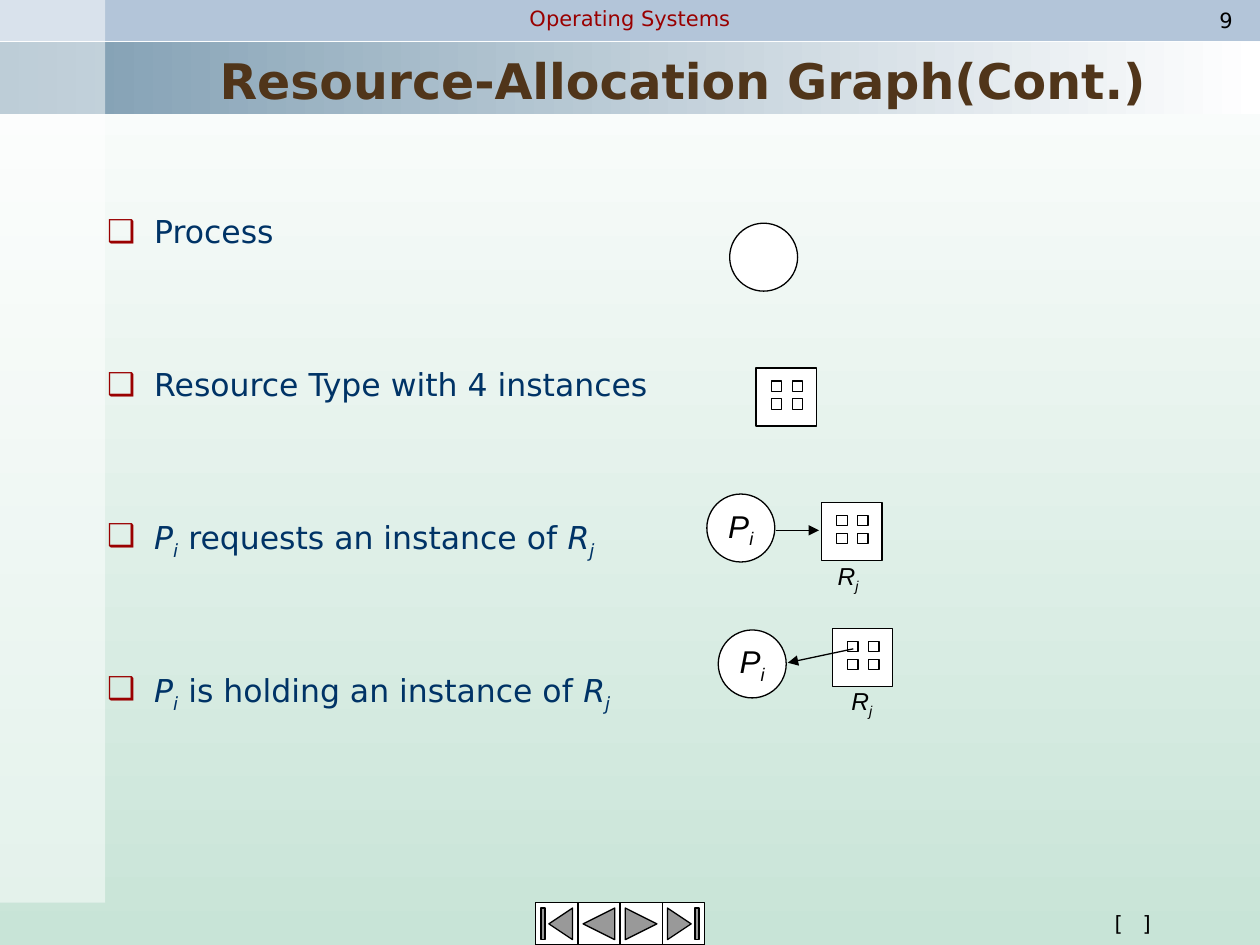
"""Build the resource-allocation graph slide with its process and resource symbols."""
from lxml.etree import SubElement
from pptx import Presentation
from pptx.dml.color import RGBColor
from pptx.enum.shapes import MSO_CONNECTOR, MSO_SHAPE
from pptx.enum.text import MSO_ANCHOR, PP_ALIGN
from pptx.oxml.ns import qn
from pptx.util import Cm, Pt

ink = RGBColor.from_string
SANS = "DejaVu Sans"


def draw(kind, left, top, width, height, fill="FFFFFF", line="000000"):
    shape = shapes.add_shape(kind, Cm(left), Cm(top), Cm(width), Cm(height))
    shape.shadow.inherit = False
    shape.fill.solid()
    shape.fill.fore_color.rgb = ink(fill)
    if line:
        shape.line.color.rgb = ink(line)
        shape.line.width = Pt(0.75)
    else:
        shape.line.fill.background()
    return shape


def write(frame, parts, size, color, face=SANS, para=None):
    if para is None:
        para = frame.paragraphs[0]
        para.alignment = PP_ALIGN.CENTER
        frame.vertical_anchor = MSO_ANCHOR.MIDDLE
        frame.word_wrap = False
    for part in parts:
        run = para.add_run()
        run.text = part.lstrip("/_")
        if part[0] in "/_":
            run.font.italic = True
        if part[0] == "_":
            run._r.get_or_add_rPr().set("baseline", "-25000")
    para.font.size = Pt(size)
    para.font.name = face
    para.font.color.rgb = ink(color)
    return para


deck = Presentation()
deck.slide_width, deck.slide_height = Cm(25.4), Cm(19.05)
slide = deck.slides.add_slide(deck.slide_layouts[5])
shapes = slide.shapes

draw(MSO_SHAPE.RECTANGLE, 0, 0, 25.4, 0.81, "B3C5D9", "B3C5D9")
band = draw(MSO_SHAPE.RECTANGLE, 0, 0.84, 25.4, 1.47, line=None)
for fill, start, end, angle in [
    (slide.background.fill, "FFFFFF", "C8E4D7", 270),
    (band.fill, "7C9BB0", "FFFFFF", 0),
]:
    fill.gradient()
    fill.gradient_angle = angle
    for stop, color, place in zip(fill.gradient_stops, (start, end), (0, 1)):
        stop.color.rgb = ink(color)
        stop.position = place

panel = draw(MSO_SHAPE.RECTANGLE, 0, 0, 2.12, 18.2, line=None)
tint = panel._element.spPr.find(qn("a:solidFill"))[0]
SubElement(tint, qn("a:alpha"), val="50000")

buttons = [
    MSO_SHAPE.ACTION_BUTTON_BEGINNING,
    MSO_SHAPE.ACTION_BUTTON_BACK_OR_PREVIOUS,
    MSO_SHAPE.ACTION_BUTTON_FORWARD_OR_NEXT,
    MSO_SHAPE.ACTION_BUTTON_END,
]
for n, kind in enumerate(buttons):
    draw(kind, 10.8 + 0.85 * n, 18.2, 0.85, 0.85)

title = shapes.title
title.left, title.top, title.width, title.height = Cm(2.12), Cm(0.88), Cm(23.28), Cm(1.45)
head = write(title.text_frame, ["Resource-Allocation Graph(Cont.)"], 28, "50351A")
head.font.bold = True
title.text_frame.vertical_anchor = MSO_ANCHOR.BOTTOM
title.text_frame.word_wrap = True
shapes._spTree.append(title._element)

body = shapes.add_textbox(Cm(1.91), Cm(4.24), Cm(22.53), Cm(10.6)).text_frame
body.word_wrap = True
items = [
    (0, ["Process"]),
    (68, ["Resource Type with 4 instances"]),
    (65.5, ["/P", "_i", " requests an instance of ", "/R", "_j"]),
    (65.5, ["/P", "_i", " is holding an instance of ", "/R", "_j"]),
]
for gap, parts in items:
    para = body.add_paragraph() if gap else body.paragraphs[0]
    para.line_spacing = 0.9
    para.space_before = Pt(gap)
    props = para._p.get_or_add_pPr()
    props.set("marL", str(Cm(0.95)))
    props.set("indent", str(-Cm(0.95)))
    SubElement(SubElement(props, qn("a:buClr")), qn("a:srgbClr"), val="9A0000")
    SubElement(props, qn("a:buFont"), typeface=SANS)
    SubElement(props, qn("a:buChar"), char="❑")
    write(body, parts, 18, "003366", para=para)

for left, top, parts in [
    (14.71, 4.5, []),
    (14.25, 9.96, ["/P", "_i"]),
    (14.48, 12.7, ["/P", "_i"]),
]:
    disc = draw(MSO_SHAPE.OVAL, left, top, 1.37, 1.37)
    if parts:
        write(disc.text_frame, parts, 18, "000000", "Arial")

for left, top in [(15.24, 7.42), (16.56, 10.13), (16.78, 12.67)]:
    draw(MSO_SHAPE.RECTANGLE, left, top, 1.22, 1.17)
    for row in range(2):
        for col in range(2):
            draw(MSO_SHAPE.RECTANGLE, left + 0.31 + 0.42 * col,
                 top + 0.26 + 0.36 * row, 0.21, 0.21)

for ends in [(15.65, 10.69, 16.51, 10.69), (17.2, 13.08, 15.88, 13.36)]:
    arrow = shapes.add_connector(MSO_CONNECTOR.STRAIGHT, *map(Cm, ends))
    arrow.line.color.rgb = ink("000000")
    arrow.line.width = Pt(0.75)
    SubElement(arrow.line._get_or_add_ln(), qn("a:tailEnd"), type="triangle")
    SubElement(arrow._element.spPr, qn("a:effectLst"))

for place, parts, size, color, face in [
    ((16.64, 11.18, 0.91, 0.94), ["/R", "_j"], 14, "000000", "Arial"),
    ((16.92, 13.69, 0.91, 0.94), ["/R", "_j"], 14, "000000", "Arial"),
    ((8.89, 0, 7.62, 0.73), ["Operating Systems"], 12, "990000", SANS),
    ((24.08, 0, 1.27, 0.81), ["9"], 12, "000000", SANS),
    ((20.32, 18.21, 5.03, 0.81), ["[", " ", "]"], 12, "000000", SANS),
]:
    label = shapes.add_textbox(*map(Cm, place)).text_frame
    label.margin_left = label.margin_right = 0
    para = write(label, parts, size, color, face)
    if " " in parts:
        para.runs[1]._r.get_or_add_rPr().set("spc", "760")

deck.save("out.pptx")
